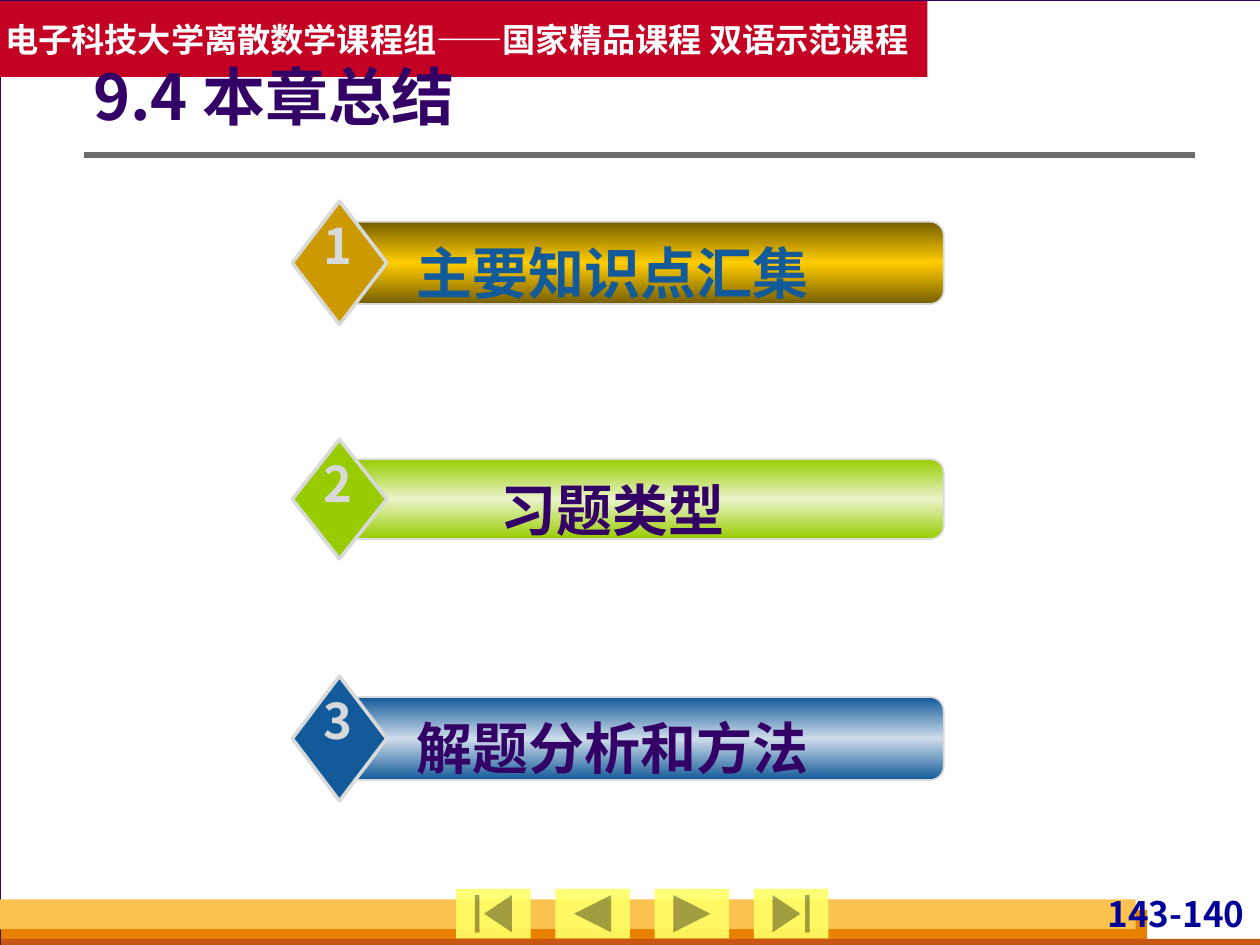
from copy import deepcopy
from dataclasses import dataclass

from lxml.etree import SubElement
from pptx import Presentation
from pptx.dml.color import RGBColor
from pptx.enum.shapes import MSO_CONNECTOR, MSO_SHAPE
from pptx.enum.text import MSO_ANCHOR, MSO_AUTO_SIZE, PP_ALIGN
from pptx.oxml.ns import qn
from pptx.util import Pt


def rgb(value):
    return RGBColor.from_string(value)


@dataclass
class SlideBuilder:
    slide: object
    font: str = "Noto Sans CJK SC"
    ink: str = "330066"
    silver: str = "D8DADA"
    white: str = "FFFFFF"

    def background(self, color):
        self.slide.background.fill.solid()
        self.slide.background.fill.fore_color.rgb = rgb(color)

    def shape(self, kind, box, color, line=None, weight=1, parent=None):
        shapes = (parent or self.slide).shapes
        shape = shapes.add_shape(kind, *map(Pt, box))
        shape.shadow.inherit = False
        shape.fill.solid()
        shape.fill.fore_color.rgb = rgb(color)
        if line:
            shape.line.color.rgb = rgb(line)
            shape.line.width = Pt(weight)
        else:
            shape.line.fill.background()
        return shape

    def gradient(self, shape, edge, middle):
        shape.fill.gradient()
        shape.fill.gradient_angle = 270
        first, last = shape.fill.gradient_stops
        first.color.rgb = last.color.rgb = rgb(edge)
        first.position, last.position = 0, 1
        stops = shape._element.spPr.find(qn("a:gradFill")).find(qn("a:gsLst"))
        stops.insert(1, deepcopy(stops[0]))
        center = shape.fill.gradient_stops[1]
        center.position = 0.5
        center.color.rgb = rgb(middle)

    def set_text(self, shape, text, size, color, align=PP_ALIGN.LEFT,
                 insets=(7.2, 3.6, 7.2, 3.6), anchor=MSO_ANCHOR.TOP, wrap=True,
                 grow=False):
        frame = shape.text_frame
        frame.text = text
        frame.word_wrap = wrap
        frame.vertical_anchor = anchor
        frame.auto_size = (MSO_AUTO_SIZE.SHAPE_TO_FIT_TEXT if grow
                           else MSO_AUTO_SIZE.NONE)
        (frame.margin_left, frame.margin_top,
         frame.margin_right, frame.margin_bottom) = map(Pt, insets)
        paragraph = frame.paragraphs[0]
        paragraph.alignment = align
        font = paragraph.font
        font.size = Pt(size)
        font.bold = True
        font.color.rgb = rgb(color)
        font.name = self.font
        properties = paragraph._p.pPr.find(qn("a:defRPr"))
        SubElement(properties, qn("a:ea")).set("typeface", self.font)
        return paragraph

    def label(self, box, text, size, color, parent=None, **layout):
        shapes = (parent or self.slide).shapes
        label = shapes.add_textbox(*map(Pt, box))
        self.set_text(label, text, size, color, grow=True, **layout)

    def rule(self, left, right, y, color, weight):
        rule = self.slide.shapes.add_connector(
            MSO_CONNECTOR.STRAIGHT, Pt(left), Pt(y), Pt(right), Pt(y))
        rule.line.color.rgb = rgb(color)
        rule.line.width = Pt(weight)
        SubElement(rule._element.spPr, qn("a:effectLst"))

    def title(self, box, text):
        title = self.slide.shapes.title
        title.left, title.top, title.width, title.height = map(Pt, box)
        heading = self.set_text(title, text, 36, self.ink,
                                insets=(0, 3.6, 7.2, 3.6),
                                anchor=MSO_ANCHOR.MIDDLE)
        heading.line_spacing = 0.9
        self.slide.shapes._spTree.append(title._element)

    def section(self, number, top, height, text, text_color, diamond_color,
                edge, middle):
        group = self.slide.shapes.add_group_shape()
        bar = self.shape(MSO_SHAPE.ROUNDED_RECTANGLE,
                         (197.3, top, 342, height), edge, self.silver,
                         parent=group)
        self.gradient(bar, edge, middle)
        diamond_top = top - height / 4
        self.shape(MSO_SHAPE.DIAMOND, (167, diamond_top, 54, height * 1.5),
                   diamond_color, self.silver, 2, group)
        self.label((215.3, top + 5.8, 270, 46), text, 32, text_color, group,
                   align=PP_ALIGN.CENTER)
        self.label((177.8, diamond_top + 4.5, 30.2, 41), str(number), 28,
                   self.silver, group, align=PP_ALIGN.CENTER, wrap=False)


def main():
    deck = Presentation()
    deck.slide_width, deck.slide_height = Pt(720), Pt(540)
    builder = SlideBuilder(deck.slides.add_slide(deck.slide_layouts[5]))

    builder.background(builder.silver)
    builder.shape(MSO_SHAPE.RECTANGLE, (0, 0, 720.5, 540), builder.white,
                  builder.ink, 0.75)
    footer_bands = [
        ((0.5, 520, 655, 20), "E88000"),
        ((0.5, 536.5, 720, 5.5), "C95616"),
        ((0, 514, 649, 17), "FCC24F"),
    ]
    for box, color in footer_bands:
        builder.shape(MSO_SHAPE.RECTANGLE, box, color)
    builder.label((626.4, 509.8, 87.8, 27.4), "143-140", 20, "000099",
                  align=PP_ALIGN.RIGHT, insets=(3, 0, 3, 0))
    builder.rule(48, 683, 88.5, "6B6B6B", 3)

    navigation = [
        MSO_SHAPE.ACTION_BUTTON_BEGINNING,
        MSO_SHAPE.ACTION_BUTTON_BACK_OR_PREVIOUS,
        MSO_SHAPE.ACTION_BUTTON_FORWARD_OR_NEXT,
        MSO_SHAPE.ACTION_BUTTON_END,
    ]
    for index, kind in enumerate(navigation):
        button = builder.shape(kind, (260.7 + 56.7 * index, 508, 42.5, 28.3),
                               "FFFF66")
        color = button._element.spPr.find(qn("a:solidFill"))[0]
        SubElement(color, qn("a:alpha")).set("val", "90000")

    banner = builder.shape(MSO_SHAPE.RECTANGLE, (0, 0.7, 530, 43.3), "C30224")
    builder.set_text(banner, "电子科技大学离散数学课程组——国家精品课程 双语示范课程",
                     19, builder.white, insets=(3, 3.6, 3, 3.6),
                     anchor=MSO_ANCHOR.MIDDLE, wrap=False)
    builder.title((53.3, 29.5, 625, 55.5), "9.4 本章总结")

    sections = [
        (47, "主要知识点汇集", "135A9A", "CC9900", "765E00", "FFCC00"),
        (45.5, "习题类型", builder.ink, "99CC00", "99CC00", "E9F4C9"),
        (47.5, "解题分析和方法", builder.ink, "135A9A", "135A9A", "CDDCEA"),
    ]
    for index, section in enumerate(sections):
        builder.section(index + 1, 126.7 + 135.8 * index, *section)

    deck.save("out.pptx")


if __name__ == "__main__":
    main()
